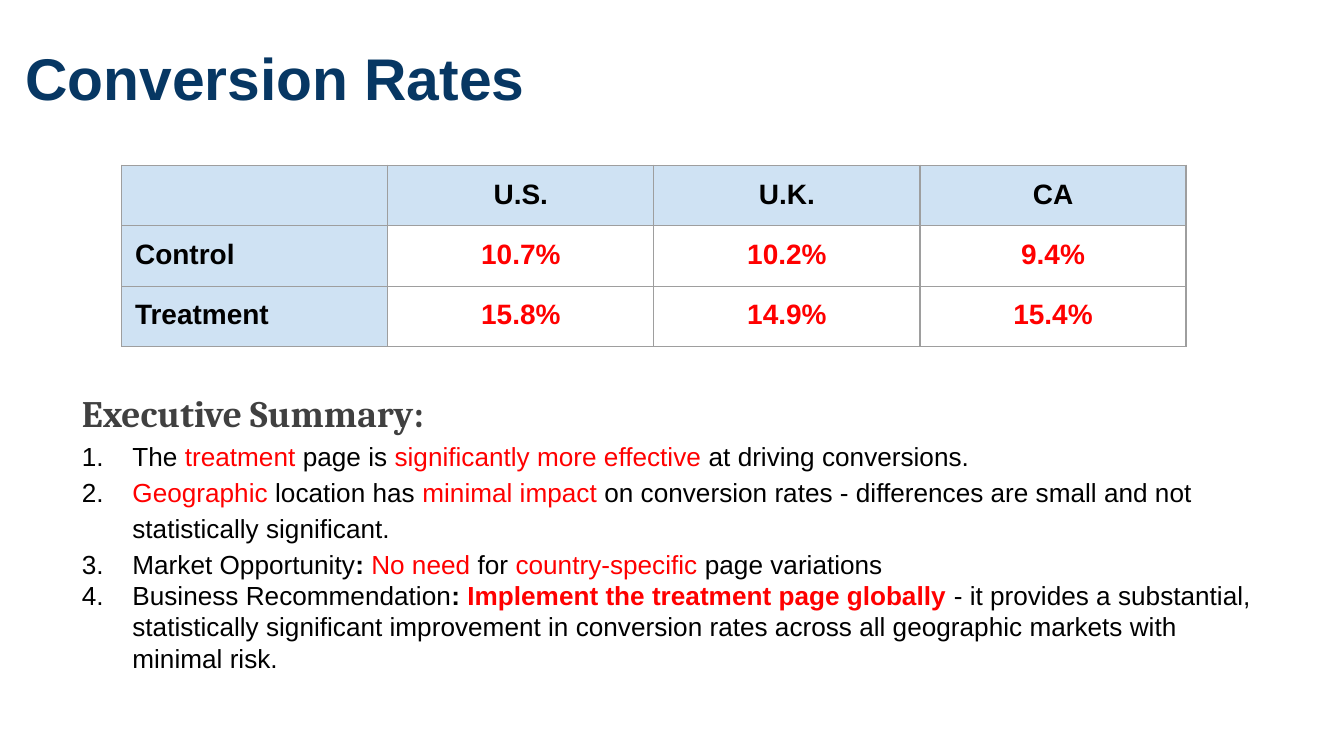
"""Build the conversion rates slide with a table and a numbered summary."""
from typing import NamedTuple

from lxml import etree
from pptx import Presentation
from pptx.dml.color import RGBColor
from pptx.enum.text import MSO_ANCHOR, MSO_AUTO_SIZE, PP_ALIGN
from pptx.oxml.ns import qn
from pptx.util import Pt

TOP = MSO_ANCHOR.TOP
NO_FIT = MSO_AUTO_SIZE.NONE
LEFT, CENTER = PP_ALIGN.LEFT, PP_ALIGN.CENTER
PX = 4572
SLIDE_WIDTH, SLIDE_HEIGHT = 2000, 1125
INSET = 20
INDENT = 75
COLUMN_WIDTH, ROW_HEIGHT = 396, 90
COLORS = {
    "navy": "073763", "pale": "CFE2F3", "white": "FFFFFF", "black": "000000",
    "red": "FF0000", "gray": "404040", "border": "9E9E9E",
}


class Box(NamedTuple):
    left: int
    top: int
    width: int
    height: int


class Phrase(NamedTuple):
    text: str
    color: str = "black"
    bold: bool = False


class Finding(NamedTuple):
    phrases: tuple[Phrase, ...]
    spacing: float = 1.15


RATES = (
    ("", "U.S.", "U.K.", "CA"),
    ("Control", "10.7%", "10.2%", "9.4%"),
    ("Treatment", "15.8%", "14.9%", "15.4%"),
)
FINDINGS = (
    Finding((
        Phrase("The "), Phrase("treatment", "red"), Phrase(" page is "),
        Phrase("significantly more effective", "red"),
        Phrase(" at driving conversions."),
    )),
    Finding((
        Phrase("Geographic", "red"), Phrase(" location has "),
        Phrase("minimal impact ", "red"),
        Phrase("on conversion rates - differences are small and not "
               "statistically significant."),
    )),
    Finding((
        Phrase("Market Opportunity"), Phrase(": ", bold=True),
        Phrase("No need ", "red"), Phrase("for "),
        Phrase("country-specific", "red"), Phrase(" page variations"),
    )),
    Finding((
        Phrase("Business Recommendation"), Phrase(": ", bold=True),
        Phrase("Implement the treatment page globally ", "red", True),
        Phrase("- it provides a substantial, statistically significant "
               "improvement in conversion rates across all geographic "
               "markets with minimal risk."),
    ), 1.0),
)


def rgb(color: str) -> RGBColor:
    return RGBColor.from_string(COLORS[color])


def set_insets(holder) -> None:
    holder.margin_left = holder.margin_right = INSET * PX
    holder.margin_top = holder.margin_bottom = INSET * PX


def place(placeholder, box: Box) -> None:
    placeholder.left, placeholder.top, placeholder.width, placeholder.height = (
        length * PX for length in box)
    frame = placeholder.text_frame
    frame.word_wrap, frame.auto_size, frame.vertical_anchor = True, NO_FIT, TOP
    set_insets(frame)


def style(paragraph, font: str, size: float) -> None:
    paragraph.font.name, paragraph.font.size = font, Pt(size)


def write(paragraph, phrases: tuple[Phrase, ...]) -> None:
    for phrase in phrases:
        run = paragraph.add_run()
        run.text = phrase.text
        run.font.bold = phrase.bold
        run.font.color.rgb = rgb(phrase.color)


def set_list_level(paragraph, numbered: bool, spacing: float) -> None:
    paragraph.alignment = LEFT
    paragraph.line_spacing = spacing
    paragraph.space_before = Pt(0)
    properties = paragraph._p.get_or_add_pPr()
    indent = INDENT * PX if numbered else 0
    properties.set("marL", str(indent))
    properties.set("indent", str(-indent))
    if numbered:
        color = etree.SubElement(properties, qn("a:buClr"))
        etree.SubElement(color, qn("a:srgbClr"), val=COLORS["black"])
        etree.SubElement(properties, qn("a:buFont"), typeface="Arial")
        etree.SubElement(properties, qn("a:buAutoNum"), type="arabicPeriod")
    else:
        etree.SubElement(properties, qn("a:buNone"))


def add_borders(cell) -> None:
    properties = cell._tc.get_or_add_tcPr()
    for side in "LRTB":
        line = etree.SubElement(properties, qn(f"a:ln{side}"), w=str(Pt(0.75)))
        fill = etree.SubElement(line, qn("a:solidFill"))
        etree.SubElement(fill, qn("a:srgbClr"), val=COLORS["border"])


def add_rates(slide, left: int, top: int) -> None:
    rows, columns = len(RATES), len(RATES[0])
    box = Box(left, top, columns * COLUMN_WIDTH, rows * ROW_HEIGHT)
    rates = slide.shapes.add_table(rows, columns, *(n * PX for n in box)).table
    rates.first_row = rates.horz_banding = False
    for row, values in enumerate(RATES):
        for column, value in enumerate(values):
            cell = rates.cell(row, column)
            header = row == 0 or column == 0
            add_borders(cell)
            cell.fill.solid()
            cell.fill.fore_color.rgb = rgb("pale" if header else "white")
            if value:
                set_insets(cell)
                paragraph = cell.text_frame.paragraphs[0]
                paragraph.alignment = CENTER if column else LEFT
                style(paragraph, "Arial", 15)
                color = "black" if header else "red"
                write(paragraph, (Phrase(value, color, True),))


def main() -> None:
    deck = Presentation()
    deck.slide_width, deck.slide_height = SLIDE_WIDTH * PX, SLIDE_HEIGHT * PX
    slide = deck.slides.add_slide(deck.slide_layouts[1])

    title = slide.shapes.title
    place(title, Box(18, 42, 2000, 146))
    headline = title.text_frame.paragraphs[0]
    headline.alignment = LEFT
    style(headline, "Arial", 31.5)
    write(headline, (Phrase("Conversion Rates", "navy", True),))

    add_rates(slide, 181, 246)

    summary = slide.placeholders[1]
    place(summary, Box(102, 551, 1796, 476))
    heading = summary.text_frame.paragraphs[0]
    set_list_level(heading, False, 1.15)
    style(heading, "Cambria", 20)
    write(heading, (Phrase("Executive Summary:", "gray", True),))
    for finding in FINDINGS:
        item = summary.text_frame.add_paragraph()
        set_list_level(item, True, finding.spacing)
        style(item, "Arial", 14)
        write(item, finding.phrases)

    deck.save("out.pptx")


if __name__ == "__main__":
    main()
